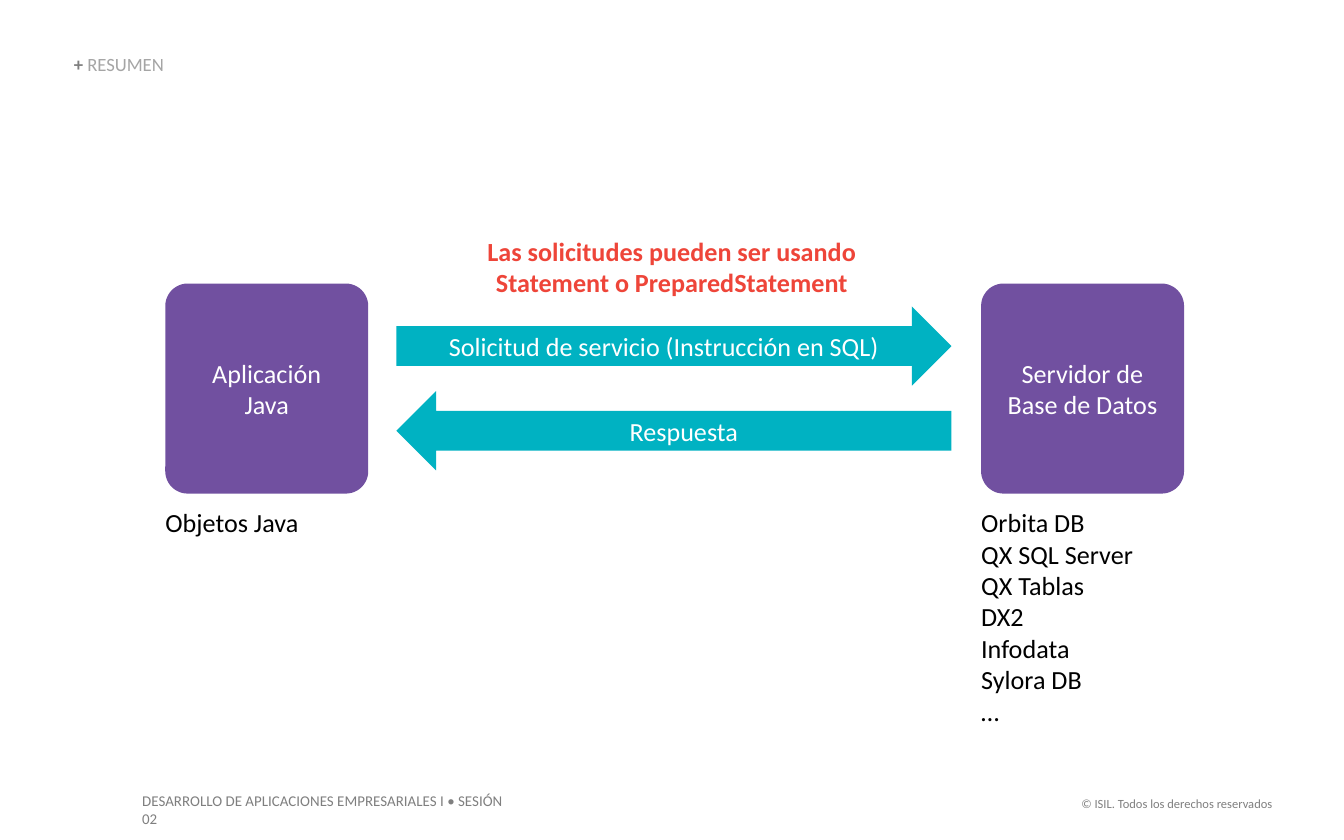
from pptx import Presentation
from pptx.dml.color import RGBColor
from pptx.enum.shapes import MSO_SHAPE
from pptx.enum.text import MSO_ANCHOR, MSO_AUTO_SIZE, PP_ALIGN
from pptx.util import Inches, Pt

LEFT, CENTER, RIGHT = PP_ALIGN.LEFT, PP_ALIGN.CENTER, PP_ALIGN.RIGHT
TOP, MIDDLE, BOTTOM = MSO_ANCHOR.TOP, MSO_ANCHOR.MIDDLE, MSO_ANCHOR.BOTTOM
ROUNDED = MSO_SHAPE.ROUNDED_RECTANGLE
RIGHT_ARROW, LEFT_ARROW = MSO_SHAPE.RIGHT_ARROW, MSO_SHAPE.LEFT_ARROW
NO_AUTOFIT = MSO_AUTO_SIZE.NONE

COLORS = {
    "purple": "7150A0", "teal": "00B2C2", "red": "EE4539", "white": "FFFFFF",
    "black": "000000", "gray": "7F7F7F", "light_gray": "A5A5A5",
}
GRID = 100
BLOCK_TOP, BLOCK_WIDTH, BLOCK_HEIGHT = 33.76, 15.1, 25
APPLICATION_LEFT, SERVER_LEFT = 12.3, 73
ARROW_LEFT, ARROW_WIDTH, ARROW_HEIGHT = 29.5, 41.3, 9.44
ARROW_TOP, ARROW_STEP = 36.48, 10.08
CAPTION_TOP = 60.32


class SlideBuilder:
    """Style and current slide, with lengths in a grid of 100 columns and 100 rows."""

    font_name = "Calibri"
    body_size = 14

    def __init__(self, presentation):
        self.column = presentation.slide_width / GRID
        self.row = presentation.slide_height / GRID
        self.slide = presentation.slides.add_slide(presentation.slide_layouts[5])

    def place(self, left, top, width, height):
        return (round(left * self.column), round(top * self.row),
                round(width * self.column), round(height * self.row))

    def style_font(self, font, size, color, bold=False):
        font.name = self.font_name
        font.size = Pt(size)
        font.bold = bold
        font.color.rgb = RGBColor.from_string(COLORS[color])

    def set_frame(self, frame, anchor, inset):
        frame.word_wrap = True
        frame.auto_size = NO_AUTOFIT
        frame.vertical_anchor = anchor
        frame.margin_left = frame.margin_right = Inches(inset[0])
        frame.margin_top = frame.margin_bottom = Inches(inset[1])

    def fill_lines(self, frame, lines, size, color, align, bold=False):
        for index, line in enumerate(lines):
            paragraph = frame.add_paragraph() if index else frame.paragraphs[0]
            paragraph.text = line
            paragraph.alignment = align
            self.style_font(paragraph.font, size, color, bold)

    def title(self, area, runs, size):
        shape = self.slide.shapes.title
        shape.left, shape.top, shape.width, shape.height = self.place(*area)
        self.set_frame(shape.text_frame, BOTTOM, (0, 0))
        paragraph = shape.text_frame.paragraphs[0]
        paragraph.alignment = LEFT
        paragraph.line_spacing = 0.9
        for text, color, bold in runs:
            run = paragraph.add_run()
            run.text = text
            self.style_font(run.font, size, color, bold)

    def text(self, area, lines, size=body_size, color="black", align=LEFT,
             bold=False, inset=(0, 0)):
        box = self.slide.shapes.add_textbox(*self.place(*area))
        self.set_frame(box.text_frame, TOP, inset)
        self.fill_lines(box.text_frame, lines, size, color, align, bold)

    def shape(self, kind, area, lines, fill, adjustments):
        shape = self.slide.shapes.add_shape(kind, *self.place(*area))
        shape.shadow.inherit = False
        shape.fill.solid()
        shape.fill.fore_color.rgb = RGBColor.from_string(COLORS[fill])
        shape.line.fill.background()
        for index, value in enumerate(adjustments):
            shape.adjustments[index] = value
        self.set_frame(shape.text_frame, MIDDLE, (0.07, 0.04))
        self.fill_lines(shape.text_frame, lines, self.body_size, "white", CENTER)

    def block(self, left, lines):
        self.shape(ROUNDED, (left, BLOCK_TOP, BLOCK_WIDTH, BLOCK_HEIGHT),
                   lines, "purple", [0.11])

    def arrow(self, kind, position, label):
        top = ARROW_TOP + position * ARROW_STEP
        self.shape(kind, (ARROW_LEFT, top, ARROW_WIDTH, ARROW_HEIGHT),
                   [label], "teal", [0.5, 0.5])

    def footer(self, area, text, size, align):
        self.text(area, [text], size, "gray", align, inset=(0.1, 0.05))


def main():
    presentation = Presentation()
    presentation.slide_width, presentation.slide_height = Inches(10), Inches(6.25)
    builder = SlideBuilder(presentation)

    builder.title((5.5, 6.56, 56.6, 2.4),
                  [("+ ", "gray", True), ("RESUMEN", "light_gray", False)], 10)

    builder.block(APPLICATION_LEFT, ["Aplicación", "Java"])
    builder.block(SERVER_LEFT, ["Servidor de Base de Datos"])
    builder.arrow(RIGHT_ARROW, 0, "Solicitud de servicio (Instrucción en SQL)")
    builder.arrow(LEFT_ARROW, 1, "Respuesta")

    builder.text((34.5, 28, 31, 8.48),
                 ["Las solicitudes pueden ser usando Statement o PreparedStatement"],
                 color="red", align=CENTER, bold=True)
    builder.text((APPLICATION_LEFT, CAPTION_TOP, 11.1, 3.84), ["Objetos Java"])
    builder.text((SERVER_LEFT, CAPTION_TOP, 14.9, 26.4),
                 ["Orbita DB", "QX SQL Server", "QX Tablas", "DX2",
                  "Infodata", "Sylora DB", "…"])

    builder.footer((9.6, 93.44, 30, 3.84),
                   "DESARROLLO DE APLICACIONES EMPRESARIALES I • SESIÓN 02", 8, LEFT)
    builder.footer((79.2, 93.92, 16.5, 3.36),
                   "© ISIL. Todos los derechos reservados", 6.7, RIGHT)

    presentation.save("out.pptx")


if __name__ == "__main__":
    main()
